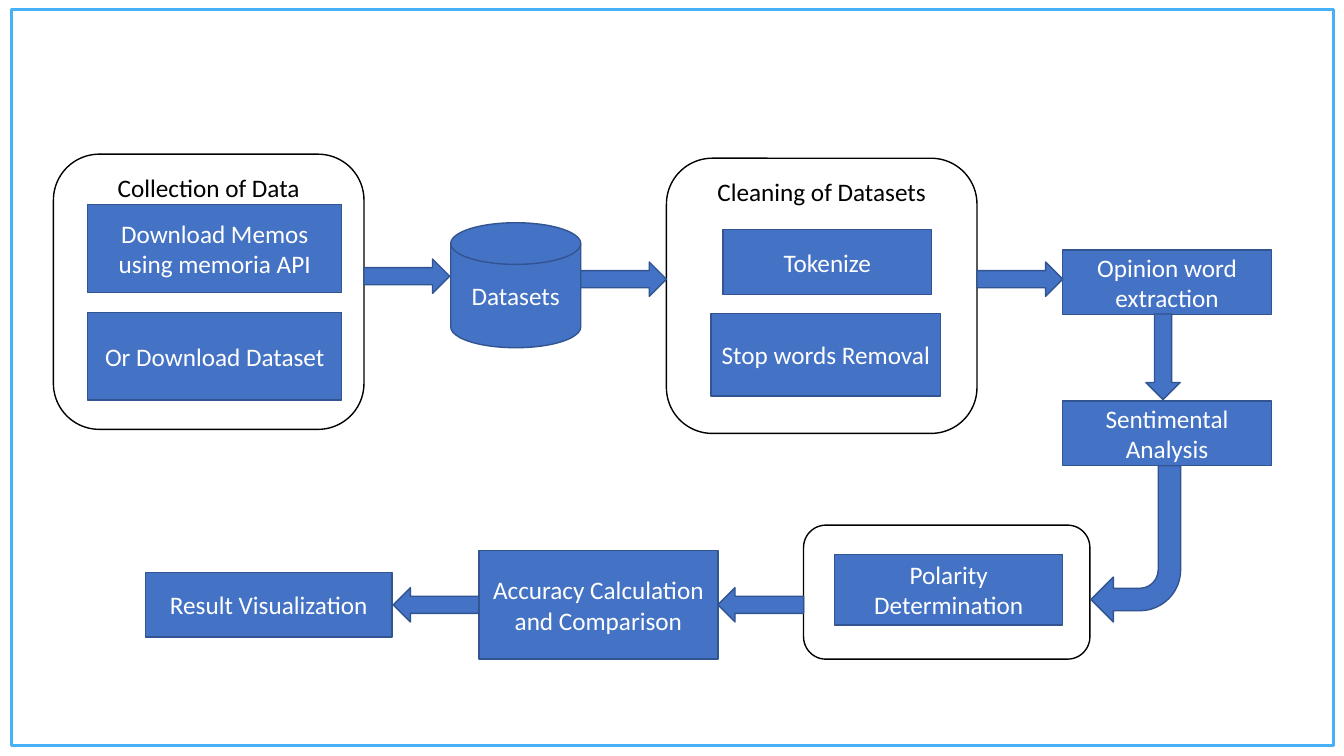
from dataclasses import dataclass

from pptx import Presentation
from pptx.dml.color import RGBColor
from pptx.enum.shapes import MSO_SHAPE
from pptx.enum.text import MSO_ANCHOR, PP_ALIGN
from pptx.shapes.autoshape import Shape
from pptx.slide import Slide
from pptx.util import Inches, Pt

RECT = MSO_SHAPE.RECTANGLE
ROUNDED = MSO_SHAPE.ROUNDED_RECTANGLE
DISK = MSO_SHAPE.FLOWCHART_MAGNETIC_DISK
RIGHT_ARROW = MSO_SHAPE.RIGHT_ARROW
BENT_ARROW = MSO_SHAPE.BENT_ARROW
TOP = MSO_ANCHOR.TOP
MIDDLE = MSO_ANCHOR.MIDDLE
CENTER = PP_ALIGN.CENTER

WHITE = RGBColor(0xFF, 0xFF, 0xFF)
BLACK = RGBColor(0x00, 0x00, 0x00)
BLUE = RGBColor(0x44, 0x72, 0xC4)
DARK_BLUE = RGBColor(0x32, 0x54, 0x91)
SKY = RGBColor(0x46, 0xB0, 0xF9)

FONT = "Calibri"
ARROW_LENGTH = 0.85
ARROW_WIDTH = 0.34


@dataclass(frozen=True)
class Box:
    left: float
    top: float
    width: float
    height: float
    text: str = ""
    kind: MSO_SHAPE = RECT


@dataclass(frozen=True)
class Arrow:
    left: float
    top: float
    rotation: int = 0
    width: float = ARROW_LENGTH
    height: float = ARROW_WIDTH
    kind: MSO_SHAPE = RIGHT_ARROW
    adjustments: tuple[float, ...] = ()


STAGES = [
    Box(0.53, 1.53, 3.08, 2.73, "Collection of Data", ROUNDED),
    Box(6.61, 1.57, 3.08, 2.73, "Cleaning of Datasets", ROUNDED),
    Box(7.97, 5.21, 2.84, 1.33, kind=ROUNDED),
]

STEPS = [
    Box(0.87, 2.03, 2.52, 0.87, "Download Memos using memoria API"),
    Box(0.87, 3.1, 2.52, 0.87, "Or Download Dataset"),
    Box(4.47, 2.21, 1.29, 1.24, "Datasets", DISK),
    Box(7.17, 2.28, 2.07, 0.64, "Tokenize"),
    Box(7.05, 3.11, 2.28, 0.82, "Stop words Removal"),
    Box(10.54, 2.48, 2.07, 0.64, "Opinion word extraction"),
    Box(10.54, 3.98, 2.07, 0.64, "Sentimental Analysis"),
    Box(8.28, 5.5, 2.26, 0.7, "Polarity Determination"),
    Box(4.75, 5.46, 2.37, 1.08, "Accuracy Calculation and Comparison"),
    Box(1.44, 5.68, 2.45, 0.64, "Result Visualization"),
]

ARROWS = [
    Arrow(3.61, 2.57),
    Arrow(5.76, 2.6),
    Arrow(9.69, 2.6),
    Arrow(11.11, 3.37, 90),
    Arrow(10.82, 4.62, 180, 0.89, 1.55, BENT_ARROW, (0.25, 0.25, 0.25, 0.457)),
    Arrow(7.12, 5.83, 180),
    Arrow(3.9, 5.83, 180),
]


def add_outlined(slide: Slide, item: Box | Arrow, line: RGBColor, weight: float = 1) -> Shape:
    shape = slide.shapes.add_shape(
        item.kind, Inches(item.left), Inches(item.top), Inches(item.width), Inches(item.height)
    )
    shape.shadow.inherit = False
    shape.line.color.rgb = line
    shape.line.width = Pt(weight)
    return shape


def add_box(
    slide: Slide, box: Box, fill: RGBColor, line: RGBColor, ink: RGBColor, anchor: MSO_ANCHOR
) -> None:
    shape = add_outlined(slide, box, line)
    shape.fill.solid()
    shape.fill.fore_color.rgb = fill
    if box.text:
        frame = shape.text_frame
        frame.word_wrap = True
        frame.vertical_anchor = anchor
        frame.text = box.text
        label = frame.paragraphs[0]
        label.alignment = CENTER
        label.font.name = FONT
        label.font.size = Pt(18)
        label.font.color.rgb = ink


def add_arrow(slide: Slide, arrow: Arrow) -> None:
    shape = add_outlined(slide, arrow, DARK_BLUE)
    shape.fill.solid()
    shape.fill.fore_color.rgb = BLUE
    shape.rotation = arrow.rotation
    for index, value in enumerate(arrow.adjustments):
        shape.adjustments[index] = value


def main() -> None:
    presentation = Presentation()
    presentation.slide_width = Inches(13.33)
    presentation.slide_height = Inches(7.5)
    slide = presentation.slides.add_slide(presentation.slide_layouts[6])

    border = add_outlined(slide, Box(0.11, 0.09, 13.12, 7.31), SKY, 2.25)
    border.fill.background()
    for stage in STAGES:
        add_box(slide, stage, WHITE, BLACK, BLACK, TOP)
    for step in STEPS:
        add_box(slide, step, BLUE, DARK_BLUE, WHITE, MIDDLE)
    for arrow in ARROWS:
        add_arrow(slide, arrow)

    presentation.save("out.pptx")


if __name__ == "__main__":
    main()
